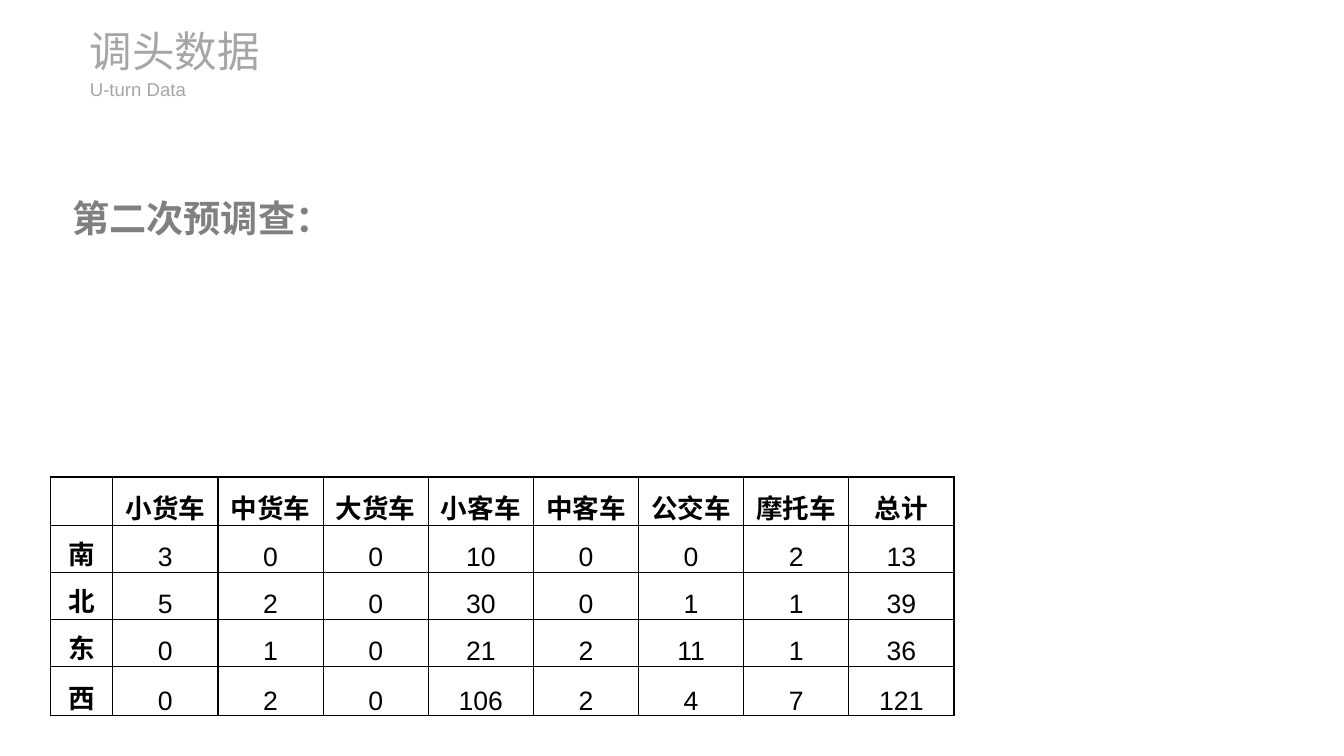
from lxml.etree import SubElement as Sub
from pptx import Presentation
from pptx.dml.color import RGBColor as RGB
from pptx.enum.text import MSO_ANCHOR as Anchor, PP_ALIGN as Align
from pptx.oxml.ns import qn
from pptx.util import Inches, Pt

TITLE = "调头数据"
LABEL = "U-turn Data"
HEAD = "第二次预调查："
ROWS = [
    ["", "小货车", "中货车", "大货车", "小客车", "中客车", "公交车", "摩托车", "总计"],
    ["南", "3", "0", "0", "10", "0", "0", "2", "13"],
    ["北", "5", "2", "0", "30", "0", "1", "1", "39"],
    ["东", "0", "1", "0", "21", "2", "11", "1", "36"],
    ["西", "0", "2", "0", "106", "2", "4", "7", "121"],
]
WIDTHS = [0.65] + [1.1] * 8
HEIGHTS = [0.51, 0.49, 0.49, 0.49, 0.52]
COLORS = {"pale": "A6A6A6", "gray": "808080", "black": "000000"}


def write(frame, text, size, color, font="Arial", bold=False,
          align=Align.LEFT, anchor=Anchor.TOP, pad=None):
    frame.word_wrap = True
    frame.vertical_anchor = anchor
    if pad is not None:
        frame.margin_left = frame.margin_right = Inches(pad)
        frame.margin_top = frame.margin_bottom = Inches(pad)
    para = frame.paragraphs[0]
    para.alignment = align
    run = para.add_run()
    run.text = text
    run.font.size = Pt(size)
    run.font.name = font
    run.font.bold = bold
    run.font.color.rgb = RGB.from_string(COLORS[color])


def border(cell):
    props = cell._tc.get_or_add_tcPr()
    for side in ("lnL", "lnR", "lnT", "lnB"):
        line = Sub(props, qn(f"a:{side}"), w=str(Pt(1)))
        fill = Sub(line, qn("a:solidFill"))
        Sub(fill, qn("a:srgbClr"), val=COLORS["black"])


def fill_cell(cell, text, bold):
    border(cell)
    cell.fill.background()
    cell.margin_left = cell.margin_right = cell.margin_top = Inches(0.01)
    cell.margin_bottom = 0
    cell.vertical_anchor = Anchor.BOTTOM
    if text:
        write(cell.text_frame, text, 20, "black", bold=bold,
              font="Calibri" if bold else "Arial", align=Align.CENTER)


def add_grid(slide):
    box = [Inches(n) for n in (0.53, 4.99, sum(WIDTHS), sum(HEIGHTS))]
    grid = slide.shapes.add_table(len(ROWS), len(WIDTHS), *box).table
    grid.first_row = grid.horz_banding = False
    for col, width in zip(grid.columns, WIDTHS):
        col.width = Inches(width)
    for row, height in zip(grid.rows, HEIGHTS):
        row.height = Inches(height)
    for r, row in enumerate(ROWS):
        for c, text in enumerate(row):
            fill_cell(grid.cell(r, c), text, bold=r == 0 or c == 0)


def main():
    deck = Presentation()
    deck.slide_width, deck.slide_height = Inches(14.06), Inches(7.91)
    slide = deck.slides.add_slide(deck.slide_layouts[5])

    title = slide.shapes.title
    title.left, title.top = Inches(0.94), Inches(0.26)
    title.width, title.height = Inches(4.32), Inches(0.54)
    write(title.text_frame, TITLE, 32, "pale", anchor=Anchor.MIDDLE, pad=0)

    label = slide.shapes.add_textbox(Inches(0.94), Inches(0.81), Inches(3.07), Inches(0.24))
    write(label.text_frame, LABEL, 14, "pale", anchor=Anchor.MIDDLE, pad=0)

    head = slide.shapes.add_textbox(Inches(0.66), Inches(1.99), Inches(3.54), Inches(0.57))
    write(head.text_frame, HEAD, 28, "gray", bold=True)

    add_grid(slide)
    deck.save("out.pptx")


if __name__ == "__main__":
    main()
